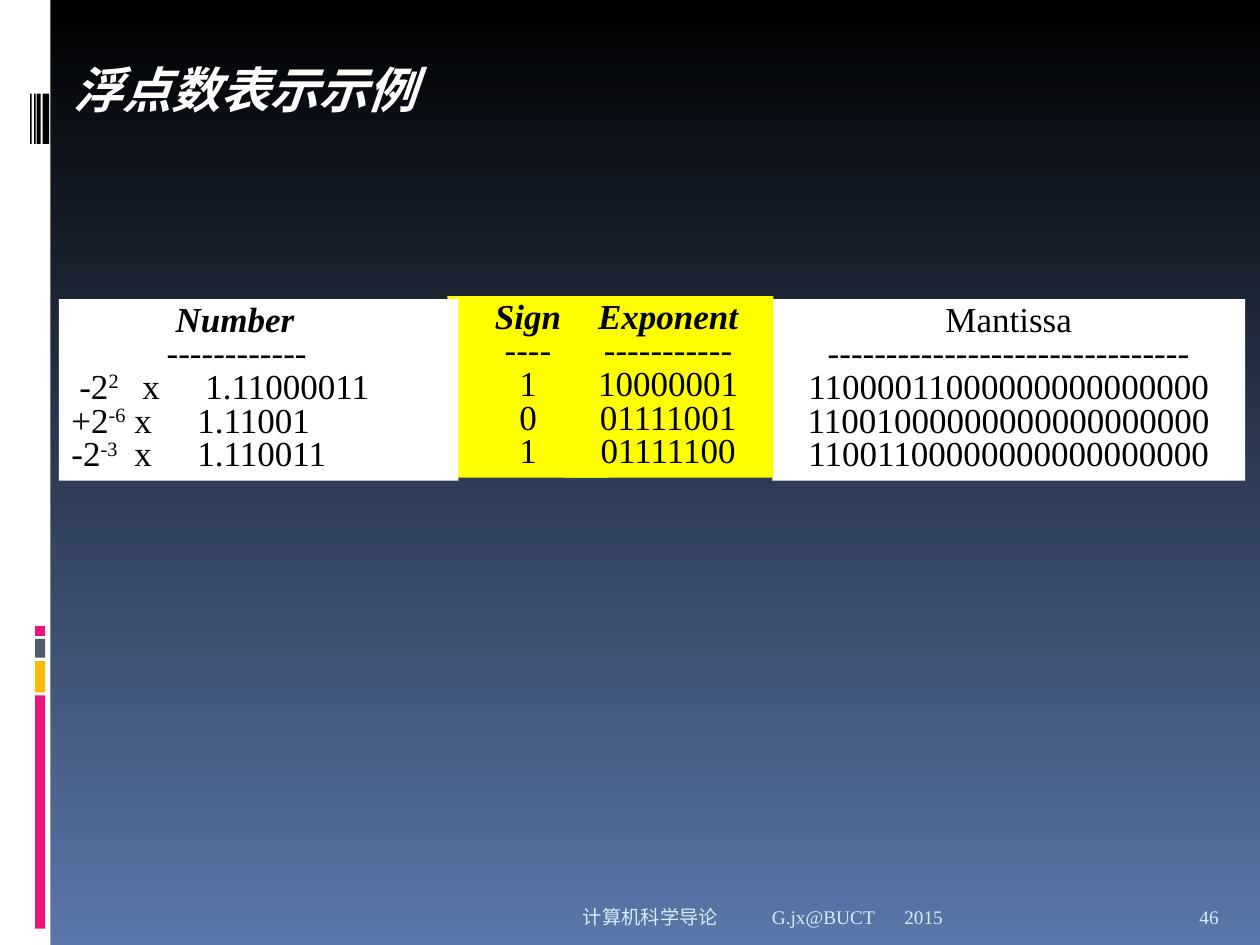
from dataclasses import dataclass

from lxml import etree
from pptx import Presentation
from pptx import util as u
from pptx.dml.color import RGBColor
from pptx.enum import shapes, text
from pptx.oxml import ns

FONT = "Times New Roman"
BLACK, WHITE, YELLOW = "000000", "FFFFFF", "FFFF00"
PINK, AMBER, SLATE, PALE = "EA157A", "FEB80A", "4E5B6F", "D6ECFF"
LEFT, CENTER, RIGHT = text.PP_ALIGN.LEFT, text.PP_ALIGN.CENTER, text.PP_ALIGN.RIGHT


@dataclass
class Area:
    """A place on the slide in centimetres."""
    left: float
    top: float
    width: float
    height: float

    def lengths(self) -> list:
        return [u.Cm(v) for v in (self.left, self.top, self.width, self.height)]


@dataclass
class Column:
    area: Area
    color: str
    heading: str
    rule: str
    values: list[str]
    bold_heading: bool = True


@dataclass
class Power:
    """A signed power of two times a binary fraction."""
    base: str
    exponent: str
    fraction: str
    indent: float = 0


def rgb(color: str) -> RGBColor:
    return RGBColor.from_string(color)


def add_rect(page, area: Area, color: str):
    rect = page.shapes.add_shape(shapes.MSO_SHAPE.RECTANGLE, *area.lengths())
    rect.shadow.inherit = False
    rect.fill.solid()
    rect.fill.fore_color.rgb = rgb(color)
    rect.line.fill.background()
    return rect


def next_para(frame, align=LEFT, spacing=None, indent=0.0, tabs=()):
    """Return the empty first paragraph, or a new one, with its layout set."""
    first = frame.paragraphs[0]
    para = frame.add_paragraph() if first.runs else first
    para.alignment = align
    if spacing:
        para.line_spacing = spacing
    props = para._p.get_or_add_pPr()
    props.set("marL", str(u.Cm(indent)))
    props.set("indent", "0")
    if tabs:
        stops = etree.SubElement(props, ns.qn("a:tabLst"))
        for tab in tabs:
            etree.SubElement(stops, ns.qn("a:tab"), pos=str(u.Cm(tab)), algn="l")
    return para


def add_span(para, words: str, size=20, color=BLACK, strong=False, raised=False):
    """Add a run; strong is bold italic, raised is superscript."""
    span = para.add_run()
    span.text = words
    font = span.font
    font.name, font.size = FONT, u.Pt(size)
    font.bold = font.italic = strong
    font.color.rgb = rgb(color)
    if raised:
        span._r.get_or_add_rPr().set("baseline", "30000")


def add_label(page, area: Area, words: str, size=11, color=PALE, strong=False,
              align=LEFT, anchor=text.MSO_ANCHOR.BOTTOM, wrap=True, tabs=()):
    box = page.shapes.add_textbox(*area.lengths())
    frame = box.text_frame
    frame.word_wrap, frame.vertical_anchor = wrap, anchor
    add_span(next_para(frame, align, tabs=tabs), words, size, color, strong)


def add_panel(page, area: Area, color: str):
    """Add a filled rectangle and return its top-anchored text frame."""
    frame = add_rect(page, area, color).text_frame
    frame.word_wrap = True
    frame.vertical_anchor = text.MSO_ANCHOR.TOP
    frame.auto_size = text.MSO_AUTO_SIZE.SHAPE_TO_FIT_TEXT
    return frame


def add_column(page, column: Column):
    frame = add_panel(page, column.area, column.color)
    for index, words in enumerate([column.heading, column.rule, *column.values]):
        strong = column.bold_heading and index == 0
        add_span(next_para(frame, CENTER, 0.8), words, strong=strong)


def add_number_column(page, area: Area, powers: list[Power]):
    frame = add_panel(page, area, WHITE)
    add_span(next_para(frame, spacing=0.8, indent=2.1), "Number", strong=True)
    add_span(next_para(frame, spacing=0.8, indent=1.92), "-" * 12)
    for power in powers:
        para = next_para(frame, spacing=0.8, indent=power.indent, tabs=(1.48, 2.18))
        add_span(para, power.base)
        add_span(para, power.exponent, raised=True)
        add_span(para, f"\tx\t{power.fraction}")


def add_side_band(page):
    add_rect(page, Area(0, 0, 1.02, 19.05), WHITE)
    for top, height, color in [(14.02, 4.7, PINK), (13.33, 0.63, AMBER),
                               (12.88, 0.38, SLATE), (12.62, 0.2, PINK)]:
        add_rect(page, Area(0.71, top, 0.2, height), color)
    for left, width in [(0.86, 0.13), (0.74, 0.08), (0.69, 0.03), (0.61, 0.03)]:
        add_rect(page, Area(left, 1.89, width, 1.01), BLACK)


def main():
    deck = Presentation()
    deck.slide_width, deck.slide_height = u.Cm(25.4), u.Cm(19.05)
    page = deck.slides.add_slide(deck.slide_layouts[6])

    backdrop = page.background.fill
    backdrop.gradient()
    backdrop.gradient_angle = 270
    for stop, color in zip(backdrop.gradient_stops, (BLACK, "5A77A9")):
        stop.color.rgb = rgb(color)
    add_side_band(page)

    add_label(page, Area(17.98, 17.83, 5.92, 1.02), "2015")
    add_label(page, Area(2.54, 17.83, 15.44, 1.02), "计算机科学导论\tG.jx@BUCT ",
              align=RIGHT, tabs=(5.08,))
    add_label(page, Area(23.93, 17.83, 1.27, 1.02), "46")
    add_label(page, Area(1.24, 1.07, 7.42, 1.45), "浮点数表示示例", size=28,
              color=WHITE, strong=True, anchor=text.MSO_ANCHOR.TOP, wrap=False)

    add_column(page, Column(Area(9.02, 5.97, 3.25, 3.66), YELLOW,
                            "Sign", "-" * 4, ["1", "0", "1"]))
    fractions = ["11000011", "11001", "110011"]
    add_column(page, Column(Area(15.57, 6.03, 9.53, 3.66), WHITE,
                            "Mantissa", "-" * 31,
                            [bits.ljust(23, "0") for bits in fractions],
                            bold_heading=False))
    add_number_column(page, Area(1.19, 6.03, 8.05, 3.66), [
        Power("-2", "2", "1.11000011", indent=0.16),
        Power("+2", "-6", "1.11001"),
        Power("-2", "-3", "1.110011"),
    ])
    add_column(page, Column(Area(11.35, 5.97, 4.24, 3.66), YELLOW,
                            "Exponent", "-" * 11,
                            ["10000001", "01111001", "01111100"]))
    deck.save("out.pptx")


if __name__ == "__main__":
    main()
